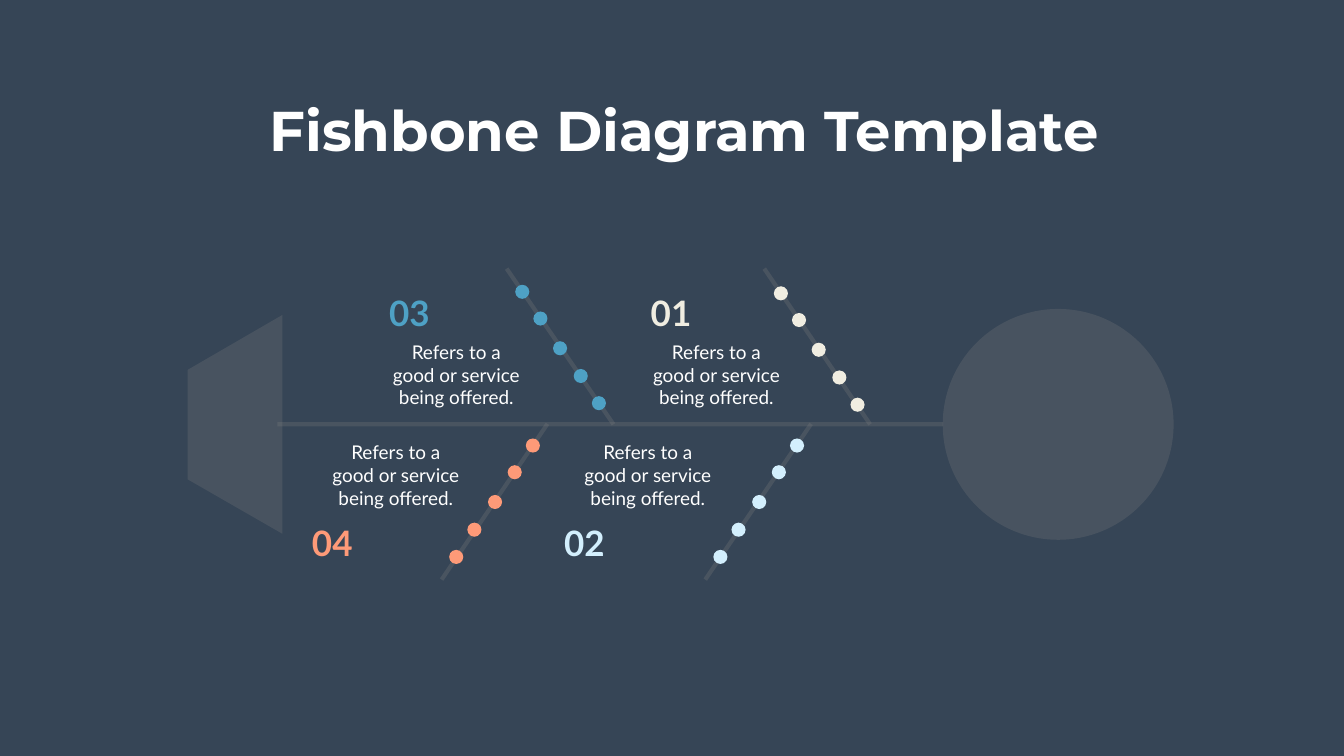
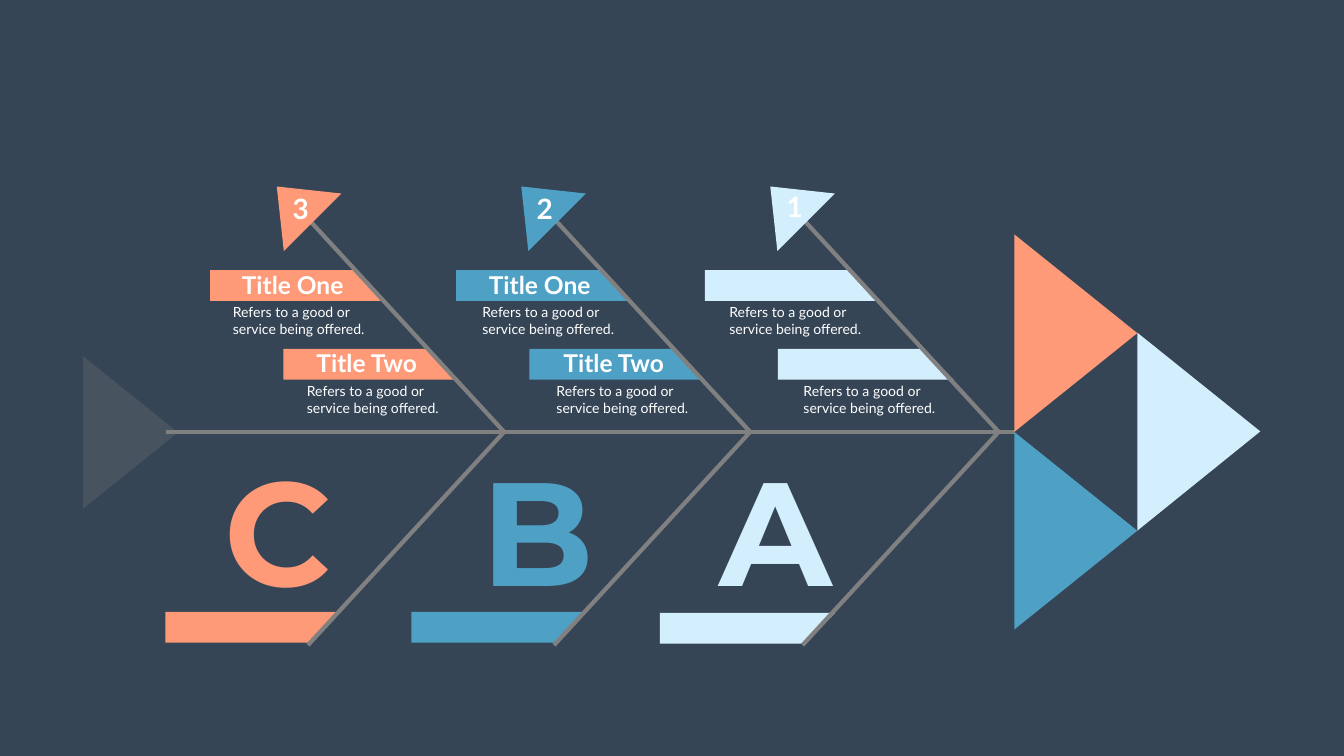
"""Build two fishbone diagram slides."""
from lxml import etree
from pptx import Presentation, util as u
from pptx.dml.color import RGBColor
from pptx.enum import shapes, text
from pptx.oxml.ns import qn

PX = 9144
COLORS = {
    "background": "364556",
    "bone": "808080",
    "white": "FFFFFF",
    "cream": "F0EDE1",
    "ice": "D3EFFD",
    "coral": "FE9A78",
    "blue": "4EA1C5",
}
BODY = "Refers to a good or service being offered."


def add_text(slide, content, left, top, width, height, *, size, color="white",
             font="Lato", bold=False, centered=True, wrap=True):
    """Add a one-paragraph text box."""
    box = slide.shapes.add_textbox(left * PX, top * PX, width * PX, height * PX)
    frame = box.text_frame
    frame.word_wrap = wrap
    frame.auto_size = text.MSO_AUTO_SIZE.SHAPE_TO_FIT_TEXT
    paragraph = frame.paragraphs[0]
    paragraph.alignment = text.PP_ALIGN.CENTER if centered else text.PP_ALIGN.LEFT
    run = paragraph.add_run()
    run.text = content
    run.font.name = font
    run.font.size = u.Pt(size)
    run.font.bold = bold
    run.font.color.rgb = RGBColor.from_string(COLORS[color])


def draw(slide, kind, points, color, faded=False):
    """Draw a filled polygon or oval, or a stroked line or polyline."""
    (x1, y1), (x2, y2) = points[:2]
    if kind == "line":
        shape = slide.shapes.add_connector(
            shapes.MSO_CONNECTOR.STRAIGHT, x1 * PX, y1 * PX, x2 * PX, y2 * PX)
    elif kind == "oval":
        shape = slide.shapes.add_shape(
            shapes.MSO_SHAPE.OVAL, x1 * PX, y1 * PX, (x2 - x1) * PX, (y2 - y1) * PX)
    else:
        builder = slide.shapes.build_freeform(x1, y1, scale=PX)
        builder.add_line_segments(points[1:], close=kind == "polygon")
        shape = builder.convert_to_shape()
    if kind in ("line", "polyline"):
        paint = shape.line.fill
        shape.line.width = u.Pt(6)
    else:
        paint = shape.fill
        shape.line.fill.background()
    paint.solid()
    paint.fore_color.rgb = RGBColor.from_string(COLORS[color])
    properties = shape._element.spPr
    if faded:
        tone = properties.find(".//" + qn("a:srgbClr"))
        etree.SubElement(tone, qn("a:alpha"), val="25000")
    if kind == "polyline":
        shape.fill.background()
    if kind == "line":
        etree.SubElement(properties, qn("a:effectLst"))
    else:
        shape.shadow.inherit = False


presentation = Presentation()
presentation.slide_width = 2666 * PX
presentation.slide_height = 1500 * PX
slides = []
for _ in range(2):
    slide = presentation.slides.add_slide(presentation.slide_layouts[6])
    slide.background.fill.solid()
    slide.background.fill.fore_color.rgb = RGBColor.from_string(COLORS["background"])
    slides.append(slide)
simple_slide, detailed_slide = slides

draw(simple_slide, "line", [(550, 842), (1871, 842)], "bone", faded=True)
DOT = 28
DOT_STEPS = [(0, 0), (36, 53), (75, 112), (116, 167), (152, 221)]
ribs = [
    ("01", "cream", (1726, 842), (1516, 533), (1535, 568), 1, (1281, 574), (1282, 671)),
    ("02", "ice", (1399, 1150), (1609, 841), (1567, 870), -1, (1109, 1029), (1146, 870)),
    ("03", "blue", (1217, 842), (1005, 533), (1022, 565), 1, (762, 574), (766, 671)),
    ("04", "coral", (876, 1150), (1086, 841), (1043, 870), -1, (609, 1029), (646, 870)),
]
for number, color, start, end, (dot_x, dot_y), direction, number_at, body_at in ribs:
    draw(simple_slide, "line", [start, end], "bone", faded=True)
    for step_x, step_y in DOT_STEPS:
        x, y = dot_x + direction * step_x, dot_y + step_y
        draw(simple_slide, "oval", [(x, y), (x + DOT, y + DOT)], color)
    add_text(simple_slide, BODY, *body_at, 278, 146, size=27)
    add_text(simple_slide, number, *number_at, 104, 94, size=50, color=color,
             bold=True, centered=False)
tail = [(560, 625), (372, 734), (372, 951), (560, 1059)]
draw(simple_slide, "polygon", tail, "bone", faded=True)
draw(simple_slide, "oval", [(1870, 613), (2328, 1071)], "bone", faded=True)
add_text(simple_slide, "Fishbone Diagram Template", 522, 185, 1671, 145, size=80,
         font="Montserrat", bold=True, wrap=False)

SPINE_Y = 857
BAR_WIDTH, BAR_HEIGHT, BAR_SLANT = 348, 61, 63
columns = [
    ("A", "1", "ice", 1592, 1528, 1216, (1549, 371), (1416, 244), 1437),
    ("B", "2", "blue", 1099, 1034, 1214, (1053, 375), (944, 244), 947),
    ("C", "3", "coral", 611, 549, 1214, (569, 375), (435, 234), 452),
]
draw(detailed_slide, "line", [(2013, SPINE_Y), (329, SPINE_Y)], "bone")
for (letter, number, color, rib_x, arrow_x, base_y, number_at,
     (letter_x, letter_width), body_x) in columns:
    for bar_x, bar_y, top_cut, bottom_cut in [
        (rib_x - 194, 536, BAR_SLANT, 0),
        (rib_x - 49, 692, BAR_SLANT, 0),
        (rib_x - 283, base_y, 0, BAR_SLANT),
    ]:
        right, bottom = bar_x + BAR_WIDTH, bar_y + BAR_HEIGHT
        bar = [(bar_x, bar_y), (right - top_cut, bar_y),
               (right - bottom_cut, bottom), (bar_x, bottom)]
        draw(detailed_slide, "polygon", bar, color)
    rib = [(rib_x, 434), (rib_x + 389, SPINE_Y), (rib_x, 1280)]
    draw(detailed_slide, "polyline", rib, "bone")
    arrow = [(arrow_x + 14, 498), (arrow_x, 370), (arrow_x + 128, 384)]
    draw(detailed_slide, "polygon", arrow, color)
    add_text(detailed_slide, number, *number_at, 55, 77, size=40, bold=True)
    for x, y in [(body_x, 598), (body_x + 147, 755)]:
        add_text(detailed_slide, BODY, x, y, 294, 77, size=20, centered=False)
    add_text(detailed_slide, letter, letter_x, 868, letter_width, 364, size=210,
             color=color, font="Montserrat", bold=True, wrap=False)

for title_x in (958, 468):
    add_text(detailed_slide, "Title One", title_x, 530, 225, 69, size=35, bold=True)
    add_text(detailed_slide, "Title Two", title_x + 139, 686, 241, 69, size=35, bold=True)

triangles = [
    ("coral", 2012, 465, 244, 392),
    ("blue", 2012, SPINE_Y, 244, 392),
    ("ice", 2256, 660, 244, 393),
    ("bone", 165, 707, 188, 302),
]
for color, left, top, width, height in triangles:
    triangle = [(left, top), (left + width, top + height // 2), (left, top + height)]
    draw(detailed_slide, "polygon", triangle, color, faded=color == "bone")

presentation.save("out.pptx")
